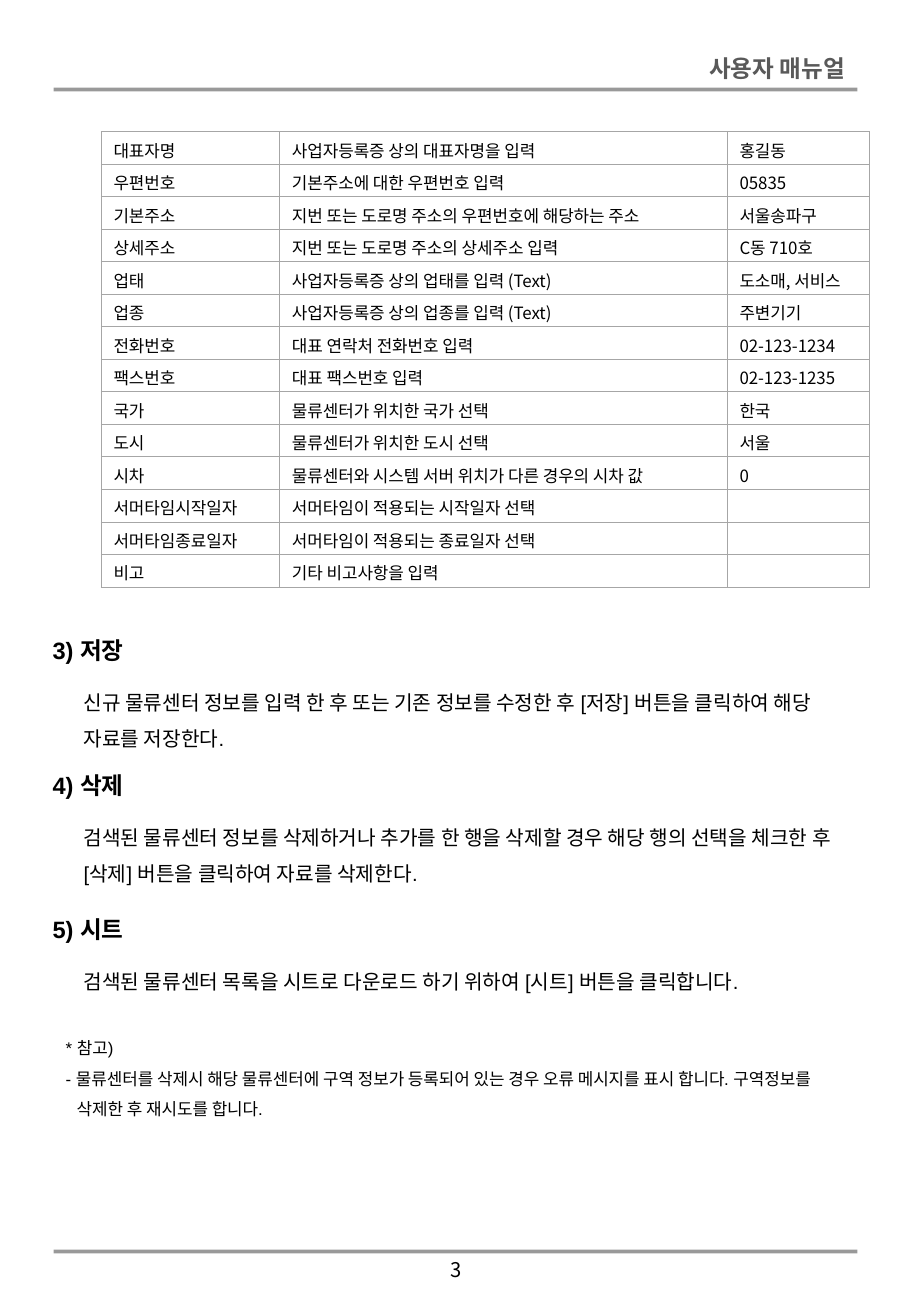
from dataclasses import dataclass

from pptx import Presentation
from pptx import util as u
from pptx.dml.color import RGBColor
from pptx.enum import shapes, text
from pptx.oxml.ns import qn
from lxml import etree


@dataclass(frozen=True)
class Theme:
    sans: str = "Noto Sans CJK KR"
    latin: str = "Arial"
    ink: str = "000000"
    header: str = "595959"
    border: str = "A6A6A6"
    heading_size: int = 14
    body_size: int = 12
    small_size: int = 10
    rule_width: float = 2.25
    border_width: float = 0.5
    rule_alpha: int = 40000


FIELDS = [
    ("대표자명", "사업자등록증 상의 대표자명을 입력", "홍길동"),
    ("우편번호", "기본주소에 대한 우편번호 입력", "05835"),
    ("기본주소", "지번 또는 도로명 주소의 우편번호에 해당하는 주소", "서울송파구"),
    ("상세주소", "지번 또는 도로명 주소의 상세주소 입력", "C동 710호"),
    ("업태", "사업자등록증 상의 업태를 입력 (Text)", "도소매, 서비스"),
    ("업종", "사업자등록증 상의 업종를 입력 (Text)", "주변기기"),
    ("전화번호", "대표 연락처 전화번호 입력", "02-123-1234"),
    ("팩스번호", "대표 팩스번호 입력", "02-123-1235"),
    ("국가", "물류센터가 위치한 국가 선택", "한국"),
    ("도시", "물류센터가 위치한 도시 선택", "서울"),
    ("시차", "물류센터와 시스템 서버 위치가 다른 경우의 시차 값", "0"),
    ("서머타임시작일자", "서머타임이 적용되는 시작일자 선택", ""),
    ("서머타임종료일자", "서머타임이 적용되는 종료일자 선택", ""),
    ("비고", "기타 비고사항을 입력", ""),
]

SECTIONS = [
    (13.16, "3) 저장", "신규 물류센터 정보를 입력 한 후 또는 기존 정보를 수정한 후 [저장] "
     "버튼을 클릭하여 해당 자료를 저장한다.", 1.7),
    (15.98, "4) 삭제", "검색된 물류센터 정보를 삭제하거나 추가를 한 행을 삭제할 경우 "
     "해당 행의 선택을 체크한 후 [삭제] 버튼을 클릭하여 자료를 삭제한다.", 1.7),
    (19.0, "5) 시트", "검색된 물류센터 목록을 시트로 다운로드 하기 위하여 [시트] "
     "버튼을 클릭합니다.", 0.92),
]

NOTES = [
    "* 참고)",
    "- 물류센터를 삭제시 해당 물류센터에 구역 정보가 등록되어 있는 경우 오류 메시지를 "
    "표시 합니다. 구역정보를 삭제한 후 재시도를 합니다.",
]


class ManualPage:
    def __init__(self, slide, theme):
        self.slide = slide
        self.theme = theme

    def style(self, paragraph, size, face, color=None, bold=False):
        font = paragraph.font
        font.size = u.Pt(size)
        font.bold = bold
        font.name = face
        font.color.rgb = RGBColor.from_string(color or self.theme.ink)
        defaults = paragraph._p.pPr.find(qn("a:defRPr"))
        etree.SubElement(defaults, qn("a:ea"), typeface=self.theme.sans)

    def place(self, box, left, top, width, height, wrap=True):
        box.left, box.top = u.Cm(left), u.Cm(top)
        box.width, box.height = u.Cm(width), u.Cm(height)
        frame = box.text_frame
        frame.word_wrap = wrap
        frame.auto_size = text.MSO_AUTO_SIZE.SHAPE_TO_FIT_TEXT
        frame.vertical_anchor = text.MSO_ANCHOR.TOP
        return frame

    def title(self, words, *area):
        frame = self.place(self.slide.shapes.title, *area)
        frame.text = words
        paragraph = frame.paragraphs[0]
        paragraph.alignment = text.PP_ALIGN.RIGHT
        self.style(paragraph, self.theme.heading_size, self.theme.sans,
                   self.theme.header, True)

    def notes(self, items, *area):
        frame = self.place(self.slide.placeholders[1], *area)
        frame.text = "\n".join(items)
        for paragraph in frame.paragraphs:
            paragraph.line_spacing = 1.5
            paragraph.space_before = u.Pt(0)
            properties = paragraph._p.get_or_add_pPr()
            properties.set("marL", str(u.Cm(0.23)))
            properties.set("indent", str(u.Cm(-0.23)))
            etree.SubElement(properties, qn("a:buNone"))
            self.style(paragraph, self.theme.small_size, self.theme.latin)

    def label(self, words, area, size, face, bold=False, wrap=True,
              spacing=None, align=None):
        box = self.slide.shapes.add_textbox(*map(u.Cm, area))
        frame = self.place(box, *area, wrap=wrap)
        frame.text = words
        paragraph = frame.paragraphs[0]
        paragraph.line_spacing = spacing
        paragraph.alignment = align
        self.style(paragraph, size, face, bold=bold)

    def section(self, top, heading, body, height):
        self.label(heading, (0.85, top, 2.16, 0.86), self.theme.heading_size,
                   self.theme.latin, bold=True, wrap=False)
        self.label(body, (1.5, top + 0.89, 16.66, height), self.theme.body_size,
                   self.theme.latin, spacing=1.5)

    def rule(self, y):
        line = self.slide.shapes.add_connector(
            shapes.MSO_CONNECTOR.STRAIGHT,
            u.Cm(1.12), u.Cm(y), u.Cm(17.93), u.Cm(y))
        line.line.width = u.Pt(self.theme.rule_width)
        line.line.color.rgb = RGBColor.from_string(self.theme.ink)
        properties = line._element.spPr
        color = properties.find(".//" + qn("a:srgbClr"))
        etree.SubElement(color, qn("a:alpha"), val=str(self.theme.rule_alpha))
        etree.SubElement(properties, qn("a:effectLst"))

    def borders(self, cell):
        properties = cell._tc.get_or_add_tcPr()
        for position, side in enumerate(("lnL", "lnR", "lnT", "lnB")):
            edge = etree.Element(qn("a:" + side),
                                 w=str(u.Pt(self.theme.border_width)))
            fill = etree.SubElement(edge, qn("a:solidFill"))
            etree.SubElement(fill, qn("a:srgbClr"), val=self.theme.border)
            properties.insert(position, edge)

    def table(self, records, left, top, widths, row_height):
        table = self.slide.shapes.add_table(
            len(records), len(widths), u.Cm(left), u.Cm(top),
            u.Cm(sum(widths)), u.Cm(row_height * len(records))).table
        table.first_row = table.horz_banding = False
        for column, width in zip(table.columns, widths):
            column.width = u.Cm(width)
        for row, record in zip(table.rows, records):
            row.height = u.Cm(row_height)
            for cell, words in zip(row.cells, record):
                cell.text = words
                cell.fill.background()
                cell.margin_top, cell.margin_bottom = u.Cm(0.12), u.Cm(0.04)
                cell.vertical_anchor = text.MSO_ANCHOR.MIDDLE
                self.borders(cell)
                self.style(cell.text_frame.paragraphs[0],
                           self.theme.small_size, self.theme.sans)


def main():
    deck = Presentation()
    deck.slide_width, deck.slide_height = u.Cm(19.05), u.Cm(27.51)
    theme = Theme()
    page = ManualPage(deck.slides.add_slide(deck.slide_layouts[1]), theme)
    page.title("사용자 매뉴얼", 13.41, 1.0, 4.52, 0.86)
    for y in (1.87, 26.16):
        page.rule(y)
    page.table(FIELDS, 2.12, 2.75, (3.73, 9.36, 2.97), 0.68)
    for section in SECTIONS:
        page.section(*section)
    page.notes(NOTES, 1.12, 21.36, 16.66, 2.18)
    page.label("3", (8.83, 26.16, 1.4, 0.76), theme.body_size, theme.sans,
               align=text.PP_ALIGN.CENTER)
    deck.save("out.pptx")


if __name__ == "__main__":
    main()
